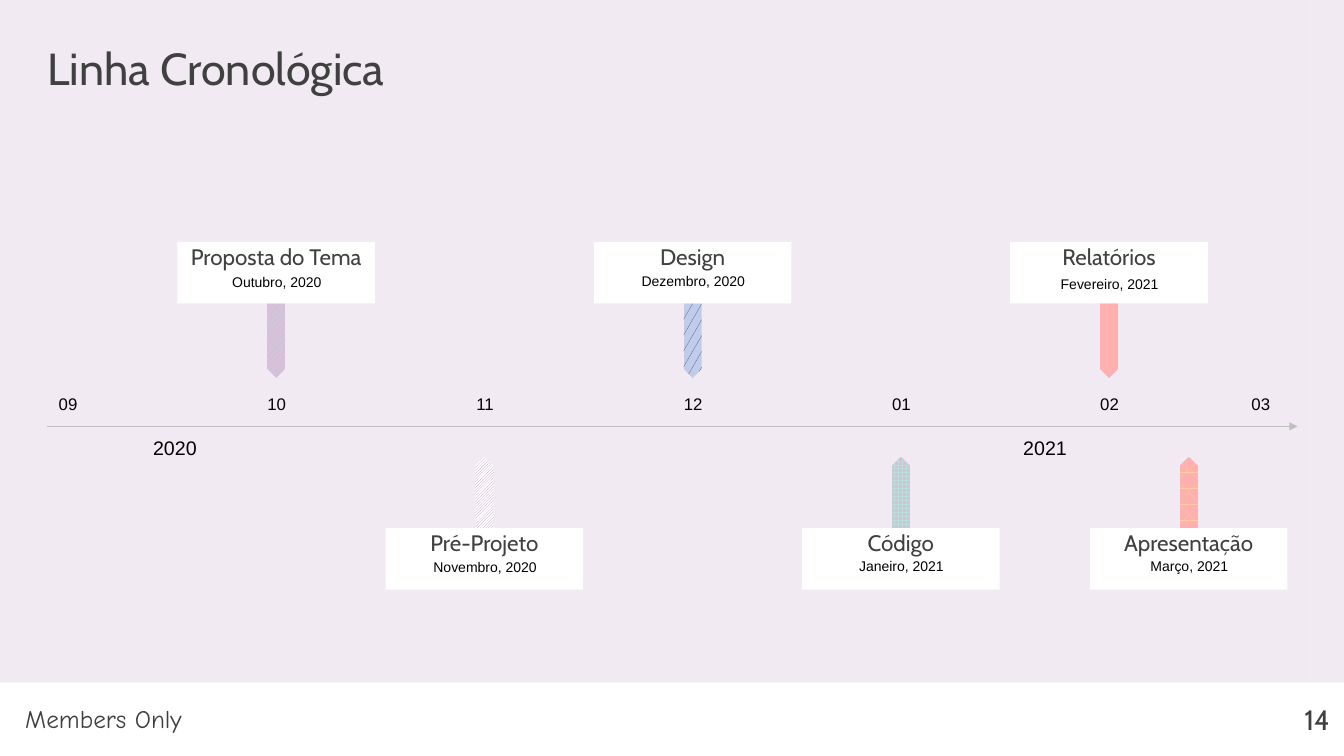
from dataclasses import dataclass

from lxml import etree
from pptx import Presentation
from pptx.dml.color import RGBColor
from pptx.enum.dml import MSO_PATTERN as Pattern
from pptx.enum.shapes import MSO_CONNECTOR as Connector, MSO_SHAPE as Shape
from pptx.enum.text import MSO_ANCHOR as Anchor, MSO_AUTO_SIZE as AutoSize, PP_ALIGN as Align
from pptx.oxml.ns import qn
from pptx.util import Inches, Pt

WIDTH, HEIGHT = 13.33, 7.5
BORDER = 0.12
AXIS_LEFT, AXIS_RIGHT, AXIS_Y = 0.47, 12.87, 4.23
OCTOBER_X, FEBRUARY_X = 2.74, 11.0
MONTH_STEP = (FEBRUARY_X - OCTOBER_X) / 4
CARD_W, CARD_H = 1.96, 0.61
MARKER_W, MARKER_H = 0.18, 0.74

COLORS = {
    "lilac": "F2EAF3", "white": "FFFFFF", "axis": "BFBFBF",
    "heading": "404040", "footer": "3F3F3F", "black": "000000",
    "mint": "BADEDA", "mauve": "D7BFDA", "purple": "BC95C2",
    "forest": "214541", "blue": "C0CCEA", "peach": "FFCDA3", "coral": "FFAFAE",
}


@dataclass
class TextStyle:
    font: str
    size: float
    color: str = "black"
    align: Align = Align.CENTER
    anchor: Anchor = Anchor.TOP
    spacing: float = 0.9


@dataclass
class Label:
    text: str
    center: float


@dataclass
class Milestone:
    name: str
    date: str
    center: float
    above: bool
    date_offset: float
    pattern: Pattern
    fore: str
    back: str


TITLE = TextStyle("Cabin", 32, "heading", Align.LEFT, Anchor.MIDDLE)
CARD = TextStyle("Cabin", 16, "heading")
DATE = TextStyle("Arial", 10)
MONTH = TextStyle("Arial", 12)
YEAR = TextStyle("Arial", 14, anchor=Anchor.MIDDLE)
PAGE = TextStyle("Cabin", 20, "heading", Align.RIGHT, Anchor.MIDDLE, 1.0)
FOOTER = TextStyle("Comic Neue", 18, "footer", Align.LEFT, spacing=1.0)


def month_x(index: int) -> float:
    return OCTOBER_X + index * MONTH_STEP


MONTHS = [
    Label("09", 0.67),
    *(Label(name, month_x(i)) for i, name in enumerate(["10", "11", "12", "01", "02"])),
    Label("03", 12.5),
]
YEARS = [Label("2020", 1.73), Label("2021", 10.36)]
MILESTONES = [
    Milestone("Proposta do Tema", "Outubro, 2020", month_x(0), True, 0.33,
              Pattern.WIDE_UPWARD_DIAGONAL, "mint", "mauve"),
    Milestone("Pré-Projeto", "Novembro, 2020", month_x(1), False, 0.32,
              Pattern.DARK_UPWARD_DIAGONAL, "purple", "white"),
    Milestone("Design", "Dezembro, 2020", month_x(2), True, 0.32,
              Pattern.SMALL_CONFETTI, "forest", "blue"),
    Milestone("Código", "Janeiro, 2021", month_x(3), False, 0.31,
              Pattern.LARGE_GRID, "mint", "mauve"),
    Milestone("Relatórios", "Fevereiro, 2021", month_x(4), True, 0.35,
              Pattern.NARROW_VERTICAL, "coral", "mauve"),
    Milestone("Apresentação", "Março, 2021", 11.79, False, 0.31,
              Pattern.DIVOT, "peach", "coral"),
]


def rgb(name: str) -> RGBColor:
    return RGBColor.from_string(COLORS[name])


def write(shape, text: str, style: TextStyle, top_inset: float = 0) -> None:
    frame = shape.text_frame
    frame_format = {
        "word_wrap": True, "vertical_anchor": style.anchor,
        "margin_left": 0, "margin_right": 0, "margin_bottom": 0,
        "margin_top": Inches(top_inset),
    }
    for attribute, value in frame_format.items():
        setattr(frame, attribute, value)
    paragraph = frame.paragraphs[0]
    paragraph.alignment = style.align
    paragraph.line_spacing = style.spacing
    run = paragraph.add_run()
    run.text = text
    for attribute, value in {"name": style.font, "size": Pt(style.size)}.items():
        setattr(run.font, attribute, value)
    run.font.color.rgb = rgb(style.color)


def add_text(slide, text: str, left: float, top: float, width: float, height: float,
             style: TextStyle):
    box = slide.shapes.add_textbox(Inches(left), Inches(top), Inches(width), Inches(height))
    write(box, text, style)
    return box


def paint_white(shape) -> None:
    shape.shadow.inherit = False
    shape.fill.solid()
    shape.fill.fore_color.rgb = rgb("white")
    shape.line.fill.background()


def add_panel(slide, left: float, top: float, width: float, height: float):
    panel = slide.shapes.add_shape(
        Shape.RECTANGLE, Inches(left), Inches(top), Inches(width), Inches(height))
    paint_white(panel)
    return panel


def add_frame(slide) -> None:
    right, bottom = WIDTH - BORDER, HEIGHT - BORDER
    outline = slide.shapes.build_freeform(0, 0, scale=Inches(1))
    outline.add_line_segments([(WIDTH, 0), (WIDTH, HEIGHT), (0, HEIGHT)])
    outline.move_to(BORDER, BORDER)
    outline.add_line_segments([(BORDER, bottom), (right, bottom), (right, BORDER)])
    paint_white(outline.convert_to_shape())


def add_axis(slide) -> None:
    axis = slide.shapes.add_connector(
        Connector.STRAIGHT, Inches(AXIS_LEFT), Inches(AXIS_Y), Inches(AXIS_RIGHT), Inches(AXIS_Y))
    axis.line.color.rgb = rgb("axis")
    axis.line.width = Pt(0.5)
    etree.SubElement(axis.line._get_or_add_ln(), qn("a:tailEnd"), type="triangle")
    etree.SubElement(axis._element.spPr, qn("a:effectLst"))


def add_milestone(slide, step: Milestone) -> None:
    card_top, marker_top = (2.4, 3.01) if step.above else (5.24, 4.53)

    marker = slide.shapes.add_shape(
        Shape.DOWN_ARROW, Inches(step.center - MARKER_W / 2), Inches(marker_top),
        Inches(MARKER_W), Inches(MARKER_H))
    marker.adjustments[0], marker.adjustments[1] = 1, 0.5
    marker.rotation = 0 if step.above else 180
    marker.shadow.inherit = False
    marker.line.fill.background()
    marker.fill.patterned()
    marker.fill.pattern = step.pattern
    marker.fill.fore_color.rgb = rgb(step.fore)
    marker.fill.back_color.rgb = rgb(step.back)

    card = add_panel(slide, step.center - CARD_W / 2, card_top, CARD_W, CARD_H)
    write(card, step.name, CARD, top_inset=0.04)
    add_text(slide, step.date, step.center - 0.92, card_top + step.date_offset, 1.85, 0.25, DATE)


def main() -> None:
    prs = Presentation()
    prs.slide_width, prs.slide_height = Inches(WIDTH), Inches(HEIGHT)
    slide = prs.slides.add_slide(prs.slide_layouts[6])

    # Background, footer band and border
    slide.background.fill.solid()
    slide.background.fill.fore_color.rgb = rgb("lilac")
    add_panel(slide, 0, 6.77, WIDTH, 0.73)
    add_frame(slide)

    # Title and time axis
    add_text(slide, "Linha Cronológica", AXIS_LEFT, 0.47, 12.4, 0.47, TITLE)
    add_axis(slide)
    for month in MONTHS:
        add_text(slide, month.text, month.center - 0.2, 3.93, 0.41, 0.22, MONTH)
    for year in YEARS:
        add_text(slide, year.text, year.center - 0.27, 4.35, 0.55, 0.22, YEAR)

    # Milestones
    for step in MILESTONES:
        add_milestone(slide, step)

    # Footer
    add_text(slide, "14", 12.78, 6.83, 0.41, 0.61, PAGE)
    footer = add_text(slide, "Members Only", 0.25, 6.98, 3.58, 0.3, FOOTER)
    footer.text_frame.auto_size = AutoSize.SHAPE_TO_FIT_TEXT

    prs.save("out.pptx")


if __name__ == "__main__":
    main()
